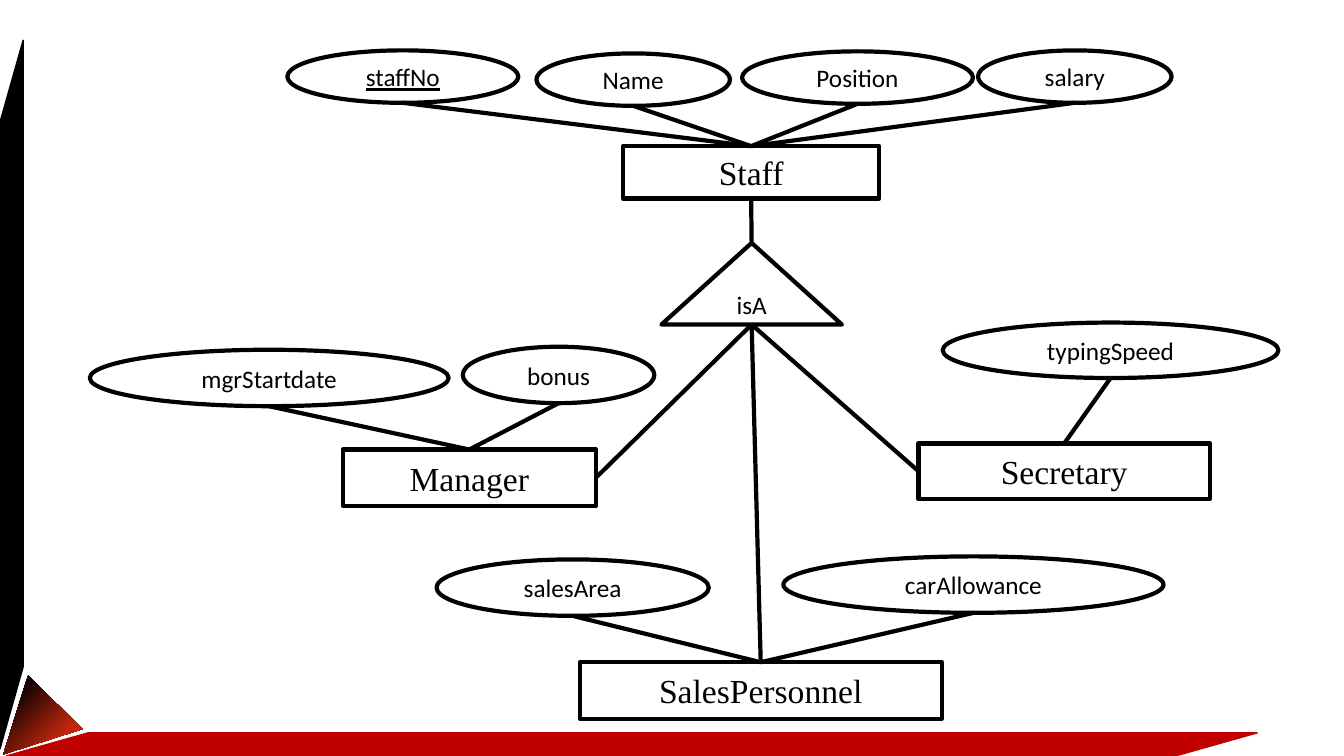
from lxml.etree import SubElement
from pptx import Presentation
from pptx.dml.color import RGBColor
from pptx.enum.shapes import MSO_CONNECTOR, MSO_SHAPE
from pptx.enum.text import MSO_ANCHOR, PP_ALIGN
from pptx.oxml.ns import qn
from pptx.util import Inches, Pt

BLACK = RGBColor(0x00, 0x00, 0x00)
RED = RGBColor(0xC0, 0x00, 0x00)
EMBER = RGBColor(0xC3, 0x26, 0x0C)
RUST = RGBColor(0xB6, 0x24, 0x0C)
SERIF = "Times New Roman"
SANS = "Calibri"
TOP, LEFT, BOTTOM, RIGHT = range(4)


def place(pen, kind, box):
    """Add a preset shape without shadow in the box (left, top, width, height)."""
    shape = pen.add_shape(kind, *map(Inches, box))
    shape.shadow.inherit = False
    return shape


def node(pen, kind, box, text, font, size):
    """Add an unfilled, outlined shape with a centred label."""
    shape = place(pen, kind, box)
    shape.fill.background()
    shape.line.color.rgb = BLACK
    shape.line.width = Pt(3)
    frame = shape.text_frame
    frame.margin_top = frame.margin_bottom = 0
    frame.vertical_anchor = MSO_ANCHOR.MIDDLE
    frame.text = text
    para = frame.paragraphs[0]
    para.alignment = PP_ALIGN.CENTER
    style = para.runs[0].font
    style.name, style.size, style.color.rgb = font, Pt(size), BLACK
    return shape


def link(pen, start, shape, site):
    """Draw a line from a point to a side of a shape and join it there."""
    x, y = map(Inches, start)
    line = pen.add_connector(MSO_CONNECTOR.STRAIGHT, x, y, x, y)
    line.end_connect(shape, site)
    line.line.color.rgb = BLACK
    line.line.width = Pt(3)
    SubElement(line._element.spPr, qn("a:effectLst"))
    return line


def entity(pen, box, name, traits):
    """Draw an entity and its attributes, offset from the entity's corner."""
    left, top, _, high = box
    rect = node(pen, MSO_SHAPE.RECTANGLE, box, name, SERIF, 24)
    for label, dx, dy, wide, key in traits:
        x, y = left + dx, top + dy
        oval = node(pen, MSO_SHAPE.OVAL, (x, y, wide, high), label, SANS, 18)
        if key:
            oval.text_frame.paragraphs[0].runs[0].font.underline = True
        link(pen, (x + wide / 2, y + high), rect, TOP)
    return rect


def is_a(pen, box, parent, kids):
    """Draw the isA triangle and join it to the parent and child entities."""
    left, top, wide, high = box
    mid = left + wide / 2
    peak = node(pen, MSO_SHAPE.ISOSCELES_TRIANGLE, box, "isA", SANS, 18)
    link(pen, (mid, top), parent, BOTTOM).begin_connect(peak, TOP)
    for kid, site in kids:
        link(pen, (mid, top + high), kid, site)


def bar(pen, box, turn, color):
    """Add a slanted bar to the edge of the slide."""
    shape = place(pen, MSO_SHAPE.PARALLELOGRAM, box)
    shape.adjustments[0] = 3.54
    shape.rotation = turn
    shape.fill.solid()
    shape.fill.fore_color.rgb = shape.line.color.rgb = color
    shape.line.width = Pt(1)
    return shape


def corner(pen, box):
    """Add the turned gradient triangle."""
    shape = place(pen, MSO_SHAPE.FLOWCHART_MERGE, box)
    shape.rotation = 44.8
    shape.line.fill.background()
    shape.fill.gradient()
    shape.fill.gradient_angle = 0
    stops = shape._element.spPr.find(".//" + qn("a:gsLst"))
    for stop in list(stops):
        stops.remove(stop)
    for part, color in ((24, BLACK), (69, EMBER), (97, RUST)):
        stop = SubElement(stops, qn("a:gs"), pos=str(part * 1000))
        SubElement(stop, qn("a:srgbClr"), val=str(color))


def border(pen):
    """Decorate the left and bottom edges."""
    side = bar(pen, (-3.4, 3.8, 7.03, 0.23), 90, BLACK)
    side._element.spPr.find(qn("a:xfrm")).set("flipV", "1")
    corner(pen, (-0.09, 6.86, 0.76, 0.73))
    bar(pen, (0.06, 7.27, 12.41, 0.23), 180, RED)


def diagram(pen):
    """Draw the staff hierarchy."""
    staff = entity(pen, (6.18, 1.45, 2.54, 0.52), "Staff", [
        ("staffNo", -3.33, -0.95, 2.29, True),
        ("Name", -0.86, -0.92, 1.92, False),
        ("Position", 1.18, -0.94, 2.29, False),
        ("salary", 3.52, -0.95, 1.92, False)])
    boss = entity(pen, (3.4, 4.46, 2.51, 0.56), "Manager", [
        ("mgrStartdate", -2.51, -0.99, 3.56, False),
        ("bonus", 1.19, -1.02, 1.9, False)])
    clerk = entity(pen, (9.11, 4.4, 2.89, 0.55), "Secretary", [
        ("typingSpeed", 0.24, -1.2, 3.33, False)])
    sales = entity(pen, (5.75, 6.57, 3.59, 0.56), "SalesPersonnel", [
        ("salesArea", -1.42, -1.02, 2.7, False),
        ("carAllowance", 2.02, -1.05, 3.77, False)])
    is_a(pen, (6.56, 2.41, 1.79, 0.81), staff,
         [(boss, RIGHT), (clerk, LEFT), (sales, TOP)])


def main():
    """Build and save the slide."""
    deck = Presentation()
    deck.slide_width, deck.slide_height = Inches(13.33), Inches(7.5)
    slide = deck.slides.add_slide(deck.slide_layouts[6])
    border(slide.shapes)
    diagram(slide.shapes.add_group_shape().shapes)
    deck.save("out.pptx")


if __name__ == "__main__":
    main()
